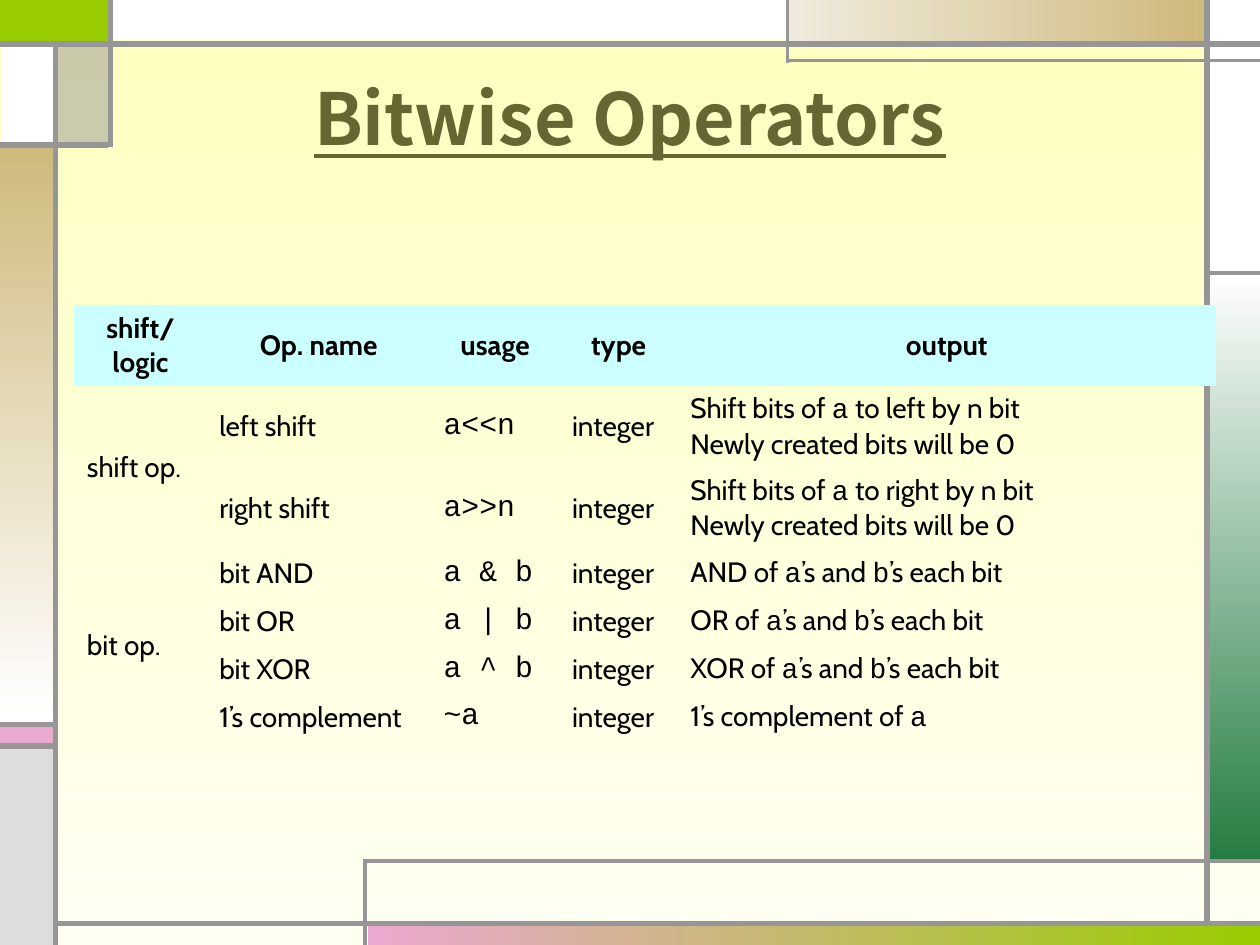
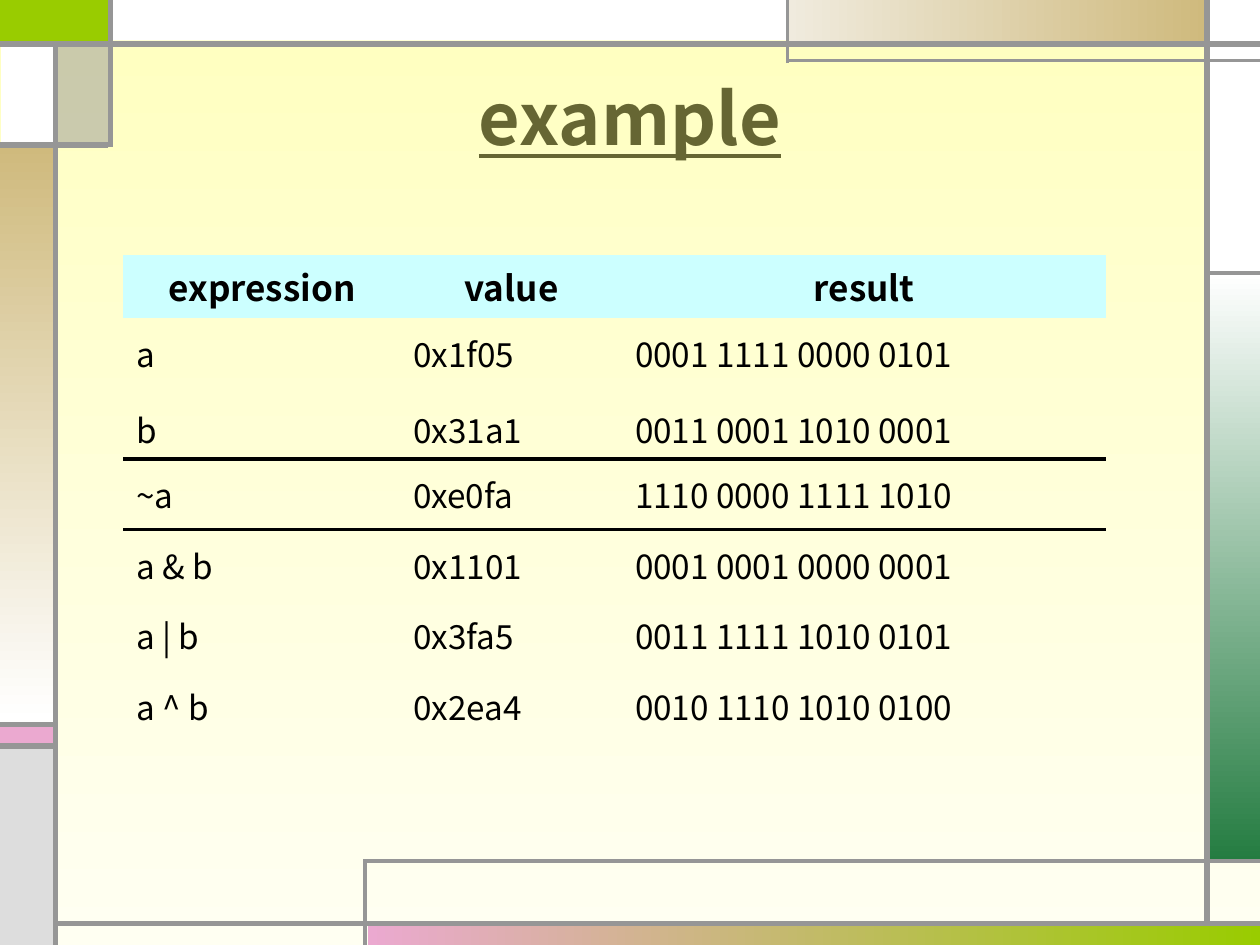
from dataclasses import dataclass

from lxml import etree
from pptx import Presentation
from pptx.dml.color import RGBColor
from pptx.enum.shapes import MSO_CONNECTOR, MSO_SHAPE
from pptx.enum.text import MSO_ANCHOR, PP_ALIGN
from pptx.oxml.ns import qn
from pptx.util import Inches, Pt


@dataclass(frozen=True)
class Theme:
    title: str = "666633"
    text: str = "000000"
    header: str = "CCFFFF"
    line: str = "969696"
    white: str = "FFFFFF"
    silver: str = "DDDDDD"
    lime: str = "99CC00"
    green: str = "247C41"
    pink: str = "EBA9D0"
    sand: str = "CFBA7D"
    pale_sand: str = "F0EBDE"
    bg_top: str = "FFFFBF"
    bg_bottom: str = "FFFFF2"
    sans: str = "Noto Sans CJK KR"
    body: str = "Cabin"
    mono: str = "Courier New"
    title_size: float = 41
    thick: float = 3
    thin: float = 2.25


T = Theme()
RIGHT, DOWN = 0, 270
NO_GRID_STYLE = "{2D5ABB26-0587-4C30-8999-92F81FD0307C}"

# left, top, width, height, colour or (start, end, direction)
PANELS = [
    (0, 0, 0.87, 0.34, T.lime),
    (2.92, 7.33, 7.08, 0.17, (T.pink, T.lime, RIGHT)),
    (9.58, 2.17, 0.42, 4.67, (T.white, T.green, DOWN)),
    (0, 5.75, 0.42, 0.17, T.pink),
    (0, 5.93, 0.42, 1.57, T.silver),
    (9.58, 0, 0.42, 2.17, T.white),
    (6.25, 0, 3.33, 0.33, (T.pale_sand, T.sand, RIGHT)),
    (0, 1.15, 0.42, 4.58, (T.sand, T.white, DOWN)),
    (0.01, 0.33, 0.42, 0.82, T.white),
    (0.86, 0, 5.39, 0.32, T.white),
]
GLASS = (0.46, 0.33, 0.42, 0.82, T.line)
# x1, y1, x2, y2
THICK_RULES = [
    (0.44, 7.5, 0.44, 0.33), (0.44, 7.33, 10, 7.33), (9.58, 7.33, 9.58, 0),
    (0, 0.35, 10, 0.35), (0.88, 0, 0.88, 1.17), (0.86, 1.15, 0, 1.15),
    (0.46, 5.75, 0, 5.75), (0.46, 5.92, 0, 5.92),
]
THIN_RULES = [
    (10, 0.48, 6.25, 0.48), (6.25, 0.5, 6.25, 0), (9.58, 2.17, 10, 2.17),
    (2.9, 7.5, 2.9, 6.82), (2.89, 6.83, 10, 6.83),
]

OPERATORS = [
    ["shift/logic", "Op. name", "usage", "type", "output"],
    ["shift op.", "left shift", "`a<<n`", "integer",
     "Shift bits of `a` to left by n bit\nNewly created bits will be 0"],
    ["", "right shift", "`a>>n`", "integer",
     "Shift bits of `a` to right by n bit\nNewly created bits will be 0"],
    ["bit op.", "bit AND", "`a & b`", "integer", "AND of `a`’s and `b`’s each bit"],
    ["", "bit OR", "`a | b`", "integer", "OR of `a`’s and `b`’s each bit"],
    ["", "bit XOR", "`a ^ b`", "integer", "XOR of `a`’s and `b`’s each bit"],
    ["", "1’s complement", "`~a`", "integer", "1’s complement of `a`"],
]
EXAMPLES = [
    ["expression", "value", "result"],
    ["a", "0x1f05", "0001 1111 0000 0101"],
    ["b", "0x31a1", "0011 0001 1010 0001"],
    ["~a", "0xe0fa", "1110 0000 1111 1010"],
    ["a & b", "0x1101", "0001 0001 0000 0001"],
    ["a | b", "0x3fa5", "0011 1111 1010 0101"],
    ["a ^ b", "0x2ea4", "0010 1110 1010 0100"],
]


def rgb(color):
    return RGBColor.from_string(color)


def set_fill(fill, paint):
    if isinstance(paint, str):
        fill.solid()
        fill.fore_color.rgb = rgb(paint)
        return
    *colors, angle = paint
    fill.gradient()
    fill.gradient_angle = angle
    for stop, color in zip(fill.gradient_stops, colors):
        stop.color.rgb = rgb(color)


def set_font(font, color=T.text, **values):
    for name, value in values.items():
        setattr(font, name, value)
    font.color.rgb = rgb(color)


def add_panel(shapes, x, y, w, h, paint):
    sp = shapes.add_shape(MSO_SHAPE.RECTANGLE, *map(Inches, (x, y, w, h)))
    sp.shadow.inherit = False
    sp.line.fill.background()
    set_fill(sp.fill, paint)
    return sp


def add_rule(shapes, ends, width):
    ln = shapes.add_connector(MSO_CONNECTOR.STRAIGHT, *map(Inches, ends))
    ln.line.color.rgb = rgb(T.line)
    ln.line.width = Pt(width)
    etree.SubElement(ln.element.spPr, qn("a:effectLst"))


def add_frame(s):
    """Draw the mosaic border once and move it to the slide's layout."""
    grp = s.shapes.add_group_shape()
    for panel in PANELS:
        add_panel(grp.shapes, *panel)
    glass = add_panel(grp.shapes, *GLASS)
    color = glass.element.spPr.find(".//" + qn("a:srgbClr"))
    etree.SubElement(color, qn("a:alpha"), val="50000")
    for rules, width in ((THICK_RULES, T.thick), (THIN_RULES, T.thin)):
        for ends in rules:
            add_rule(grp.shapes, ends, width)
    tree = s.slide_layout.shapes.element
    tree.append(grp.element)
    for number, props in enumerate(tree.iter(qn("p:cNvPr")), 1):
        props.set("id", str(number))


def add_titled_slide(prs, title):
    s = prs.slides.add_slide(prs.slide_layouts[5])
    sp = s.shapes.title
    sp.left, sp.top, sp.width, sp.height = map(Inches, (0.5, 0.3, 9, 1.25))
    tf = sp.text_frame
    tf.vertical_anchor = MSO_ANCHOR.MIDDLE
    p = tf.paragraphs[0]
    p.alignment = PP_ALIGN.CENTER
    r = p.add_run()
    r.text = title
    set_font(r.font, T.title, name=T.sans, size=Pt(T.title_size), bold=True, underline=True)
    return s


def fill_cell(cell, text, is_header, font, size, mono_size):
    """Write text into a cell; parts between backticks are set in the code font."""
    cell.vertical_anchor = MSO_ANCHOR.MIDDLE
    if is_header:
        set_fill(cell.fill, T.header)
    else:
        cell.fill.background()
    tf = cell.text_frame
    for i, line in enumerate(text.split("\n")):
        p = tf.add_paragraph() if i else tf.paragraphs[0]
        p.alignment = PP_ALIGN.CENTER if is_header else PP_ALIGN.JUSTIFY
        parts = line.split("`")
        all_code = len(parts) == 3 and not parts[0] and not parts[2]
        for j, part in enumerate(parts):
            if not part and len(parts) > 1:
                continue
            r = p.add_run()
            r.text = part
            set_font(r.font, name=T.mono if j % 2 else font,
                     size=Pt(mono_size if all_code else size), bold=is_header)


def add_grid(s, left, top, cols, heights, rows, font, header_size, size, mono_size=17):
    box = map(Inches, (left, top, sum(cols), sum(heights)))
    table = s.shapes.add_table(len(rows), len(cols), *box).table
    table.horz_banding = False
    table._tbl.tblPr.find(qn("a:tableStyleId")).text = NO_GRID_STYLE
    for col, width in zip(table.columns, cols):
        col.width = Inches(width)
    for i, (row, height) in enumerate(zip(table.rows, heights)):
        row.height = Inches(height)
        for cell, text in zip(row.cells, rows[i]):
            fill_cell(cell, text, i == 0, font, size if i else header_size, mono_size)
    return table


def add_border(cell, tag, width=T.thin):
    ln = etree.Element(qn(tag), w=str(Pt(width)))
    fill = etree.SubElement(ln, qn("a:solidFill"))
    etree.SubElement(fill, qn("a:srgbClr"), val=T.text)
    cell._tc.get_or_add_tcPr().insert(0, ln)


def operators_slide(prs):
    s = add_titled_slide(prs, "Bitwise Operators")
    heights = [0.64] + [0.65] * 2 + [0.38] * 4
    table = add_grid(s, 0.59, 2.42, [1.05, 1.78, 1.02, 0.94, 4.27], heights,
                     OPERATORS, T.body, 16, 16)
    for first, last in ((1, 2), (3, 6)):
        table.cell(first, 0).merge(table.cell(last, 0))
    table.cell(1, 0).text_frame.paragraphs[0].alignment = PP_ALIGN.LEFT
    return s


def example_slide(prs):
    s = add_titled_slide(prs, "example")
    table = add_grid(s, 0.98, 2.02, [2.2, 1.76, 3.84], [0.49] + [0.56] * 6,
                     EXAMPLES, T.sans, 20, 19)
    for above, below in zip(table.rows[2].cells, table.rows[3].cells):
        above.vertical_anchor = MSO_ANCHOR.BOTTOM
        add_border(above, "a:lnB")
        add_border(below, "a:lnT")
    return s


def main():
    prs = Presentation()
    prs.slide_width, prs.slide_height = Inches(10), Inches(7.5)
    set_fill(prs.slide_master.background.fill, (T.bg_top, T.bg_bottom, DOWN))
    add_frame(operators_slide(prs))
    example_slide(prs)
    prs.save("out.pptx")


if __name__ == "__main__":
    main()
